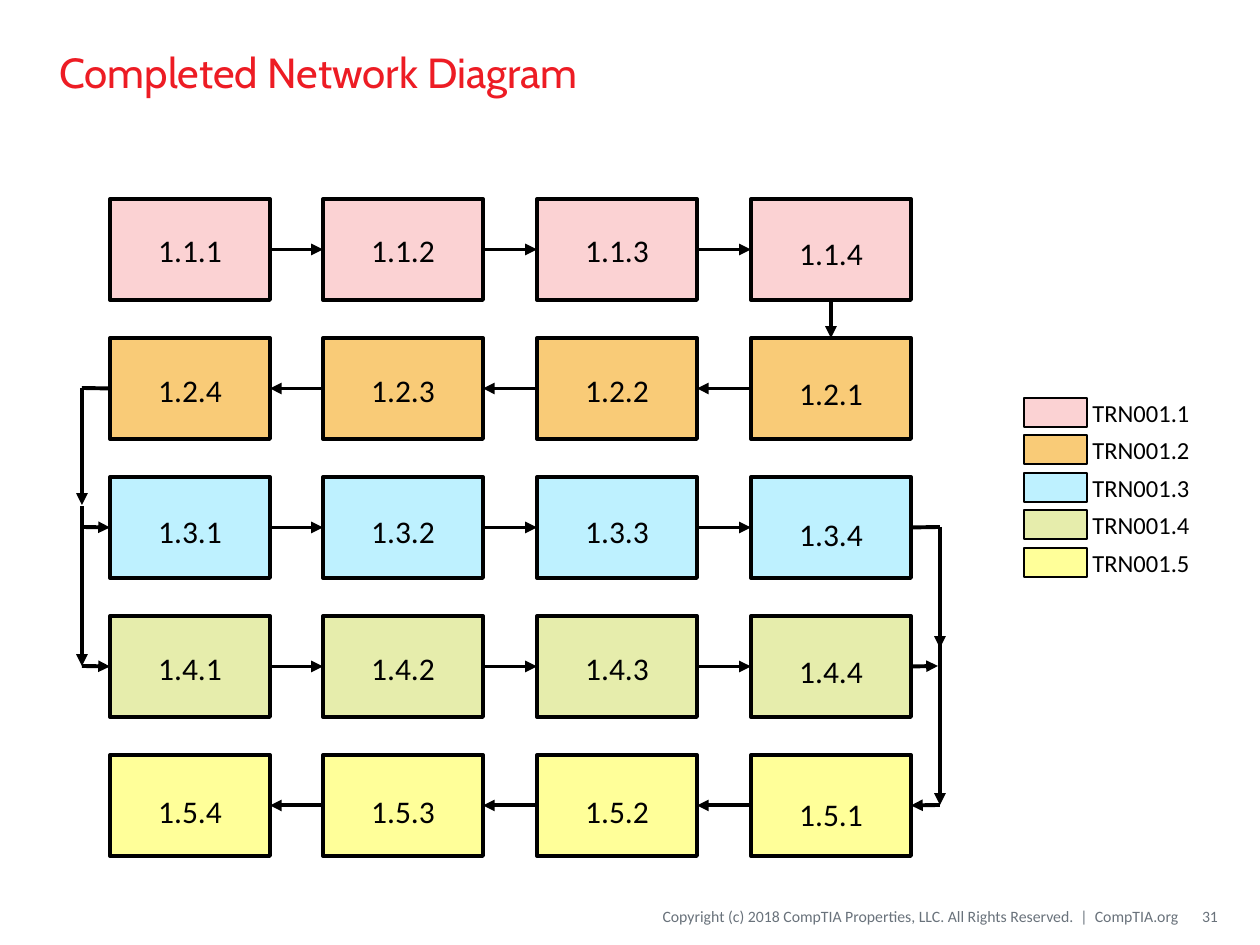
from lxml import etree
from pptx import Presentation
from pptx import util as u
from pptx.dml.color import RGBColor
from pptx.enum import shapes, text
from pptx.oxml.ns import qn

PX = 914400 // 126
INK = {"title": "ED1C24", "foot": "69727B", "line": "000000"}
# key, fill, runs leftward, label drop in px
ROWS = [
    ("1", "FBD2D3", False, 0),
    ("2", "F9CB77", True, 1),
    ("3", "BEF1FF", False, 3),
    ("4", "E6EDAC", False, 1),
    ("5", "FFFF99", True, 5),
]
COLS = 4
LEFT, TOP, WIDE, HIGH, STEP = 110, 199, 160, 101, 139
RAIL_L, RAIL_R = 82, 940
FOOT = [
    ("Copyright (c) 2018 CompTIA Properties, LLC. All Rights Reserved.  |  CompTIA.org",
     (489, 897, 689, 38), 0),
    ("31", (1182, 897, 36, 38), 13),
]

prs = Presentation()
prs.slide_width, prs.slide_height = u.Inches(10), u.Inches(7.5)
slide = prs.slides.add_slide(prs.slide_layouts[5])


def px(*vals):
    return [u.Emu(round(v * PX)) for v in vals]


def write(frame, words, size, ink, align, face="Calibri"):
    frame.text = words
    frame.vertical_anchor = text.MSO_ANCHOR.MIDDLE
    para = frame.paragraphs[0]
    para.alignment = align
    font = para.runs[0].font
    font.size, font.name = u.Pt(size), face
    font.color.rgb = RGBColor.from_string(ink)


def rect(area, fill, weight):
    box = slide.shapes.add_shape(shapes.MSO_SHAPE.RECTANGLE, *px(*area))
    box.shadow.inherit = False
    box.fill.solid()
    box.fill.fore_color.rgb = RGBColor.from_string(fill)
    box.line.color.rgb = RGBColor.from_string(INK["line"])
    box.line.width = u.Pt(weight)
    return box


def join(start, end, head=True):
    """Draw a line; each end is an (x, y) point or a (box, side) pair."""
    line = slide.shapes.add_connector(shapes.MSO_CONNECTOR.STRAIGHT, 0, 0, 0, 0)
    if isinstance(start[0], int):
        line.begin_x, line.begin_y = px(*start)
    else:
        line.begin_connect(*start)
    if isinstance(end[0], int):
        line.end_x, line.end_y = px(*end)
    else:
        line.end_connect(*end)
    line.line.color.rgb = RGBColor.from_string(INK["line"])
    line.line.width = u.Pt(2.25)
    if head:
        etree.SubElement(line.line._get_or_add_ln(), qn("a:tailEnd"), type="triangle")
    etree.SubElement(line._element.spPr, qn("a:effectLst"))


title = slide.shapes.title
title.left, title.top, title.width, title.height = px(47, 14, 1165, 116)
write(title.text_frame, "Completed Network Diagram", 24, INK["title"],
      text.PP_ALIGN.LEFT, "Cabin")

for words, area, inset in FOOT:
    frame = slide.shapes.add_textbox(*px(*area)).text_frame
    frame.word_wrap = True
    frame.margin_left, frame.margin_right = px(inset, 0)
    write(frame, words, 9, INK["foot"], text.PP_ALIGN.RIGHT)

grid = []
for r, (key, fill, back, drop) in enumerate(ROWS):
    row = []
    for c in range(COLS):
        box = rect((LEFT + 641 * c // 3, TOP + STEP * r, WIDE, HIGH), fill, 2.25)
        num = COLS - c if back else c + 1
        shift = drop + (3 if c == COLS - 1 else 0)
        frame = box.text_frame
        frame.margin_top, frame.margin_bottom = px(2 * shift, 0)
        write(frame, f"1.{key}.{num}", 18, INK["line"], text.PP_ALIGN.CENTER)
        row.append(box)
    grid.append(row)
    for a, b in zip(row, row[1:]):
        if back:
            join((b, 1), (a, 3))
        else:
            join((a, 3), (b, 1))

mid = [TOP + STEP * r + HIGH // 2 for r in range(len(ROWS))]
join((grid[0][3], 2), (grid[1][3], 0))

# Left rail: 1.2.4 leads to 1.3.1 and 1.4.1
join((grid[1][0], 1), (RAIL_L, mid[1]), False)
join((RAIL_L, mid[1]), (RAIL_L, 505))
join((RAIL_L, 506), (RAIL_L, mid[3]))
for r in (2, 3):
    join((RAIL_L, mid[r]), (grid[r][0], 1))

# Right rail: 1.3.4 and 1.4.4 lead to 1.5.1
join((grid[2][3], 3), (RAIL_R, mid[2]), False)
join((RAIL_R, mid[2]), (RAIL_R, 648))
join((RAIL_R, 643), (RAIL_R, mid[4]))
join((grid[3][3], 3), (RAIL_R - 2, mid[3]))
join((RAIL_R, mid[4]), (grid[4][3], 3))

for r, (key, fill, *_) in enumerate(ROWS):
    y = 398 + 75 * r // 2
    rect((1024, y, 63, 29), fill, 1.5)
    frame = slide.shapes.add_textbox(*px(1080, y - 7, 123, 43)).text_frame
    frame.word_wrap = False
    write(frame, f"TRN001.{key}", 14, INK["line"], text.PP_ALIGN.LEFT)

prs.save("out.pptx")
